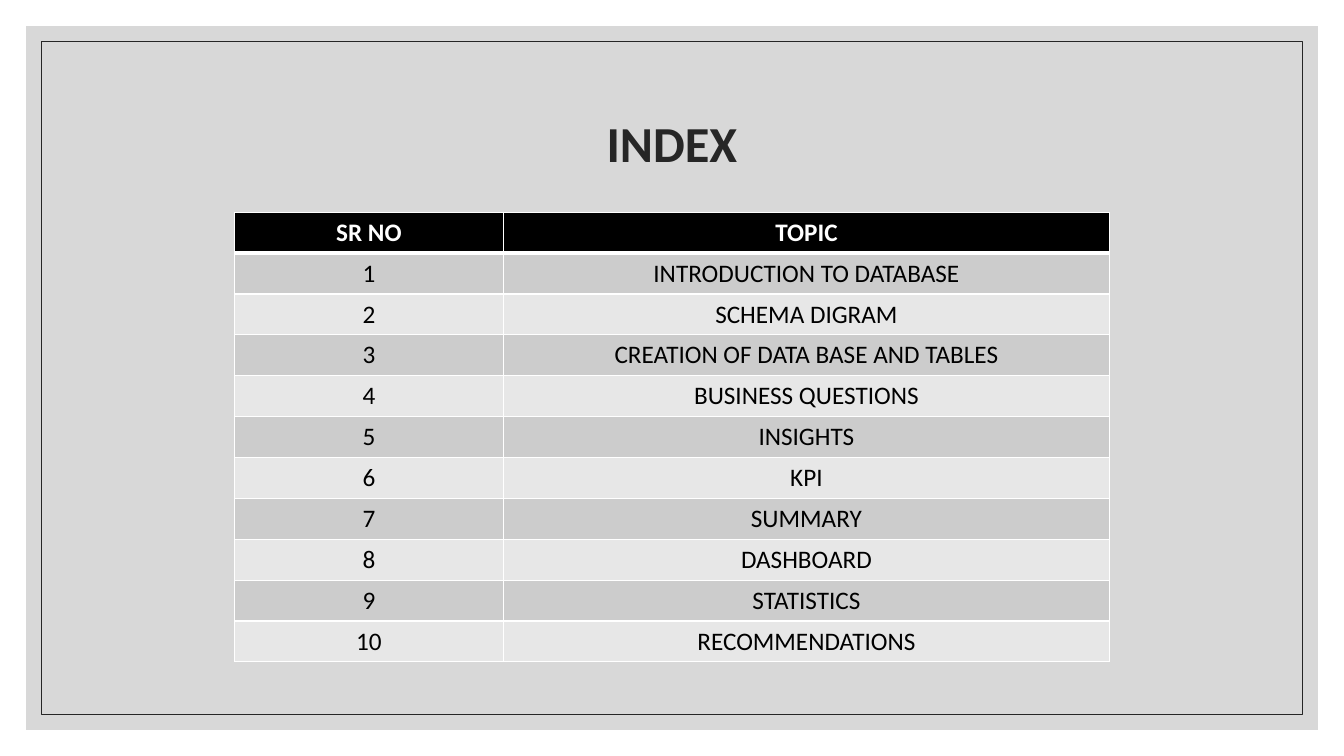
from lxml.etree import SubElement
from pptx import Presentation
from pptx.dml.color import RGBColor
from pptx.enum.shapes import MSO_SHAPE
from pptx.enum.text import MSO_ANCHOR, PP_ALIGN
from pptx.oxml.ns import qn
from pptx.util import Pt

WHITE = RGBColor(0xFF, 0xFF, 0xFF)
BLACK = RGBColor(0x00, 0x00, 0x00)
CHARCOAL = RGBColor(0x26, 0x26, 0x26)
PANEL_GRAY = RGBColor(0xBF, 0xBF, 0xBF)
DARK_BAND = RGBColor(0xCC, 0xCC, 0xCC)
LIGHT_BAND = RGBColor(0xE7, 0xE7, 0xE7)

FONT = "Calibri"
SLIDE_WIDTH, SLIDE_HEIGHT = 960, 540
COLUMN_WIDTHS = (192.2, 432.9)
ROW_HEIGHT = 29.2
HEADER = ("SR NO", "TOPIC")
TOPICS = (
    "INTRODUCTION TO DATABASE",
    "SCHEMA DIGRAM",
    "CREATION OF DATA BASE AND TABLES",
    "BUSINESS QUESTIONS",
    "INSIGHTS",
    "KPI",
    "SUMMARY",
    "DASHBOARD",
    "STATISTICS",
    "RECOMMENDATIONS",
)


def add_frame(slide, inset):
    """Add a plain rectangle at the same distance from every slide edge."""
    frame = slide.shapes.add_shape(
        MSO_SHAPE.RECTANGLE, Pt(inset), Pt(inset),
        Pt(SLIDE_WIDTH - 2 * inset), Pt(SLIDE_HEIGHT - 2 * inset))
    frame.shadow.inherit = False
    return frame


def add_panel(slide):
    panel = add_frame(slide, 18.7)
    panel.line.fill.background()
    panel.fill.solid()
    panel.fill.fore_color.rgb = PANEL_GRAY
    color = panel.element.spPr.find(qn("a:solidFill"))[0]
    SubElement(color, qn("a:alpha"), val="60000")


def add_outline(slide):
    outline = add_frame(slide, 29.5)
    outline.fill.background()
    outline.line.color.rgb = CHARCOAL
    outline.line.width = Pt(0.5)


def format_paragraph(paragraph, size, color, bold):
    paragraph.alignment = PP_ALIGN.CENTER
    font = paragraph.font
    font.name, font.size, font.bold = FONT, Pt(size), bold
    font.color.rgb = color


def place_title(slide, text):
    """Fill the title placeholder and bring it in front of the frames."""
    title = slide.shapes.title
    title.left, title.top, title.width, title.height = Pt(84), Pt(50.4), Pt(792), Pt(108)
    title.text_frame.text = text
    title.text_frame.vertical_anchor = MSO_ANCHOR.MIDDLE
    paragraph = title.text_frame.paragraphs[0]
    paragraph.line_spacing = 0.9
    format_paragraph(paragraph, 36, CHARCOAL, True)
    title.element.getparent().append(title.element)


def set_borders(cell, top, bottom):
    properties = cell._tc.get_or_add_tcPr()
    for side, width in (("L", 1), ("R", 1), ("T", top), ("B", bottom)):
        line = SubElement(properties, qn(f"a:ln{side}"), w=str(Pt(width)))
        fill = SubElement(line, qn("a:solidFill"))
        SubElement(fill, qn("a:srgbClr"), val=str(WHITE))


def add_index_table(slide):
    rows = [HEADER] + [(str(number), topic) for number, topic in enumerate(TOPICS, 1)]
    table = slide.shapes.add_table(
        len(rows), len(HEADER), Pt(167.4), Pt(151.6),
        Pt(sum(COLUMN_WIDTHS)), Pt(ROW_HEIGHT * len(rows))).table
    for column, width in zip(table.columns, COLUMN_WIDTHS):
        column.width = Pt(width)
    for row_index, texts in enumerate(rows):
        table.rows[row_index].height = Pt(ROW_HEIGHT)
        is_header = row_index == 0
        band = BLACK if is_header else (LIGHT_BAND, DARK_BAND)[row_index % 2]
        for cell, text in zip(table.rows[row_index].cells, texts):
            set_borders(cell, 3 if row_index == 1 else 1, 3 if is_header else 1)
            cell.fill.solid()
            cell.fill.fore_color.rgb = band
            cell.text = text
            format_paragraph(cell.text_frame.paragraphs[0], 18,
                             WHITE if is_header else BLACK, is_header)


def main():
    presentation = Presentation()
    presentation.slide_width = Pt(SLIDE_WIDTH)
    presentation.slide_height = Pt(SLIDE_HEIGHT)
    slide = presentation.slides.add_slide(presentation.slide_layouts[5])
    add_panel(slide)
    add_outline(slide)
    place_title(slide, "INDEX")
    add_index_table(slide)
    presentation.save("out.pptx")


if __name__ == "__main__":
    main()
